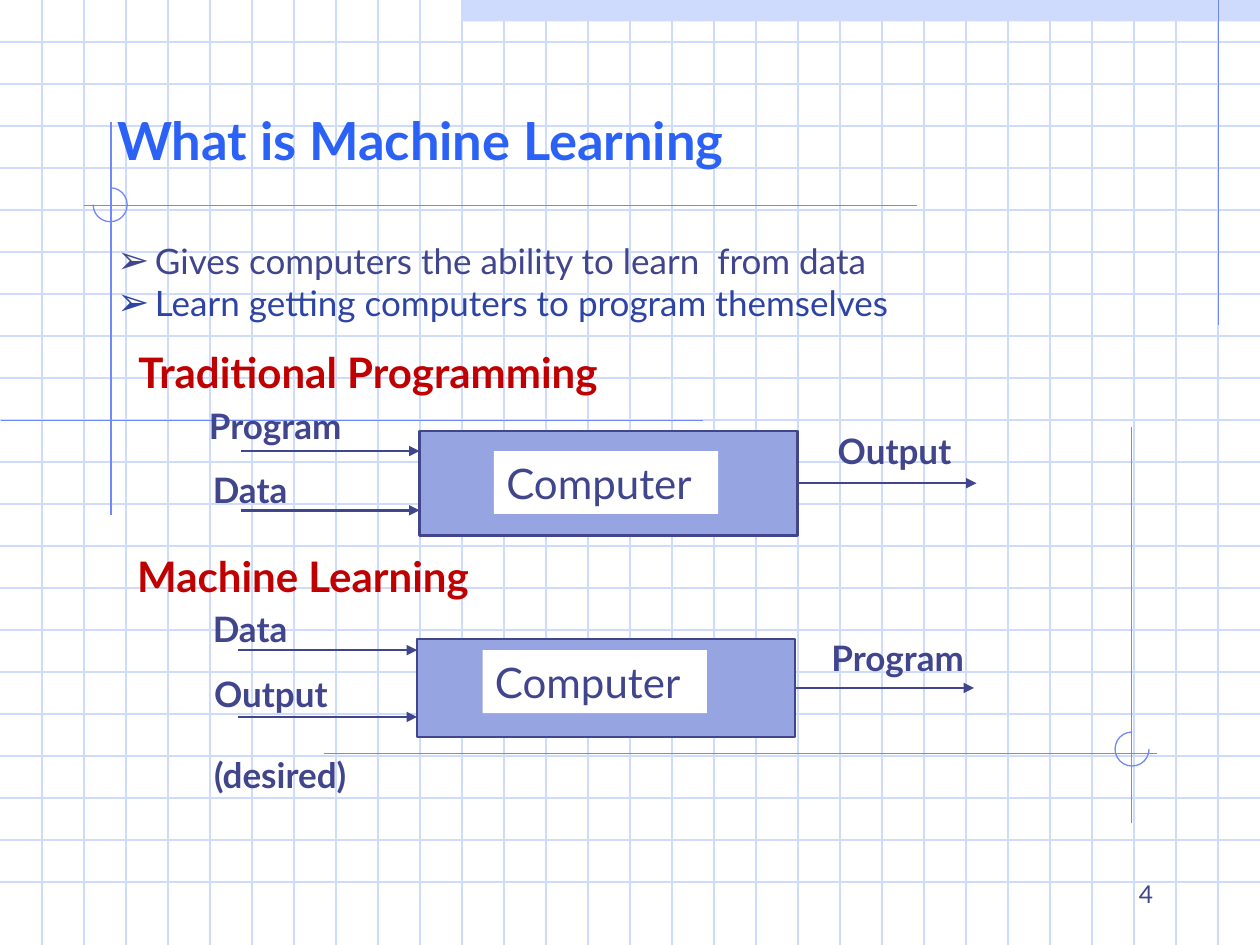
from lxml import etree
from pptx import Presentation
from pptx.dml.color import RGBColor
from pptx.enum.shapes import MSO_CONNECTOR, MSO_SHAPE
from pptx.enum.text import MSO_ANCHOR, MSO_AUTO_SIZE, PP_ALIGN
from pptx.oxml.ns import qn
from pptx.util import Inches, Pt

STRAIGHT = MSO_CONNECTOR.STRAIGHT
RECTANGLE, ARC = MSO_SHAPE.RECTANGLE, MSO_SHAPE.ARC
LEFT, RIGHT, JUSTIFY = PP_ALIGN.LEFT, PP_ALIGN.RIGHT, PP_ALIGN.JUSTIFY
RIGHT_SIDE = 3

PALE = RGBColor(0xCF, 0xDB, 0xFD)
RULE = RGBColor(0x6F, 0x89, 0xF7)
TITLE_BLUE = RGBColor(0x2C, 0x61, 0xF6)
INK = RGBColor(0x40, 0x45, 0x8C)
INK_BRIGHT = RGBColor(0x2D, 0x44, 0xA4)
BOX_FILL = RGBColor(0x96, 0xA5, 0xE2)
RED = RGBColor(0xC0, 0x00, 0x00)
WHITE = RGBColor(0xFF, 0xFF, 0xFF)

FONT = "Lato"
WIDTH, HEIGHT = 10, 7.5
GRID_STEP = 1 / 3

TITLE = "What is Machine Learning"
POINTS = [
    ("Gives computers the ability to learn  from data", INK),
    ("Learn getting computers to program themselves", INK_BRIGHT),
]
PAGE_NUMBER = "4"

# Positions are (left, top); inputs are (lines, label position, arrow height)
DIAGRAMS = [
    {
        "heading": ("Traditional Programming", 1, 2.7),
        "box": (3.33, 3.42, 0.83),
        "computer": (3.92, 3.58),
        "inputs": [(["Program"], 1.56, 3.16, 3.58), (["Data"], 1.59, 3.67, 4.05)],
        "result": ("Output", 6.55, 3.36),
    },
    {
        "heading": ("Machine Learning", 0.99, 4.32),
        "box": (3.31, 5.07, 0.78),
        "computer": (3.83, 5.16),
        "inputs": [(["Data"], 1.59, 4.77, 5.16),
                   (["Output", "(desired)"], 1.6, 5.29, 5.69)],
        "result": ("Program", 6.5, 5),
    },
]
BOX_WIDTH, ARROW_LENGTH = 3, 1.42
LABEL_SIZE = (1.42, 0.44)

RULES = [
    (9.67, 0, 9.67, 2.58),
    (0.88, 0.97, 0.88, 4.09),
    (5.58, 3.34, 0.01, 3.34),
    (7.28, 1.63, 0.67, 1.63),
    (2.57, 5.98, 9.18, 5.98),
    (8.98, 3.39, 8.98, 6.53),
]
# Left, top, start and end angle (clockwise from the right)
ARCS = [(0.74, 1.49, 270, 180), (8.85, 5.81, 0, 270)]
ARC_SIZE = 0.27


def add_line(x1, y1, x2, y2, color, width=0.75, arrow=False):
    line = slide.shapes.add_connector(
        STRAIGHT, Inches(x1), Inches(y1), Inches(x2), Inches(y2))
    line.line.color.rgb = color
    line.line.width = Pt(width)
    if arrow:
        etree.SubElement(line.line._get_or_add_ln(), qn("a:tailEnd"), type="triangle")
    etree.SubElement(line.element.spPr, qn("a:effectLst"))
    return line


def add_shape(kind, left, top, width, height, fill=None, outline=None, line_width=0.75):
    shape = slide.shapes.add_shape(
        kind, Inches(left), Inches(top), Inches(width), Inches(height))
    shape.shadow.inherit = False
    if fill is None:
        shape.fill.background()
    else:
        shape.fill.solid()
        shape.fill.fore_color.rgb = fill
    if outline is None:
        shape.line.fill.background()
    else:
        shape.line.color.rgb = outline
        shape.line.width = Pt(line_width)
    return shape


def style(paragraph, size, color, bold=False, align=LEFT):
    paragraph.alignment = align
    font = paragraph.font
    font.name, font.size, font.bold = FONT, Pt(size), bold
    font.color.rgb = color


def add_text(lines, left, top, width, height, size=20, color=INK, bold=True, align=LEFT):
    box = slide.shapes.add_textbox(
        Inches(left), Inches(top), Inches(width), Inches(height))
    frame = box.text_frame
    frame.word_wrap = True
    frame.text = "\n".join(lines)
    for index, paragraph in enumerate(frame.paragraphs):
        style(paragraph, size, color, bold, align)
        if index:
            paragraph.space_before = Pt(22)
    return box


def place(placeholder, left, top, width, height):
    """Position a placeholder and bring it in front of the backdrop."""
    placeholder.left, placeholder.top = Inches(left), Inches(top)
    placeholder.width, placeholder.height = Inches(width), Inches(height)
    placeholder.element.getparent().append(placeholder.element)
    placeholder.text_frame.auto_size = MSO_AUTO_SIZE.NONE


def add_bullet(paragraph, color):
    props = paragraph._p.get_or_add_pPr()
    props.set("marL", str(Inches(0.3)))
    props.set("indent", str(-Inches(0.3)))
    bullet_color = etree.SubElement(props, qn("a:buClr"))
    etree.SubElement(bullet_color, qn("a:srgbClr"), val=str(color))
    etree.SubElement(props, qn("a:buSzPct"), val="110000")
    etree.SubElement(props, qn("a:buChar"), char="➢")


def draw_backdrop():
    add_shape(RECTANGLE, 3.67, 0, 6.33, 0.17, fill=PALE)
    for row in range(1, round(HEIGHT / GRID_STEP)):
        add_line(0, row * GRID_STEP, WIDTH, row * GRID_STEP, PALE)
    for column in range(1, round(WIDTH / GRID_STEP)):
        add_line(column * GRID_STEP, 0, column * GRID_STEP, HEIGHT, PALE)
    for ends in RULES:
        add_line(*ends, RULE)
    for left, top, start, end in ARCS:
        arc = add_shape(ARC, left, top, ARC_SIZE, ARC_SIZE, outline=RULE)
        # Angles are stored in 60000ths of a degree, adjustments in 100000ths
        arc.adjustments[0], arc.adjustments[1] = start * 0.6, end * 0.6


def draw_diagram(diagram):
    left, top, height = diagram["box"]
    right, middle = left + BOX_WIDTH, top + height / 2
    box = add_shape(RECTANGLE, left, top, BOX_WIDTH, height, BOX_FILL, INK, 1.5)
    out = add_line(right, middle, right + ARROW_LENGTH, middle, INK, 1.5, arrow=True)
    out.begin_connect(box, RIGHT_SIDE)

    computer = add_text(["Computer"], *diagram["computer"], 1.78, 0.5, 24, bold=False)
    computer.fill.solid()
    computer.fill.fore_color.rgb = WHITE

    for lines, label_left, label_top, arrow_y in diagram["inputs"]:
        add_line(left - ARROW_LENGTH, arrow_y, left, arrow_y, INK, 1.5, arrow=True)
        label_height = LABEL_SIZE[1] if len(lines) == 1 else 1.07
        add_text(lines, label_left, label_top, LABEL_SIZE[0], label_height)

    result, *position = diagram["result"]
    add_text([result], *position, *LABEL_SIZE)
    heading, *position = diagram["heading"]
    add_text([heading], *position, 4.63, 0.5, 24, RED)


prs = Presentation()
prs.slide_width, prs.slide_height = Inches(WIDTH), Inches(HEIGHT)
slide = prs.slides.add_slide(prs.slide_layouts[1])
slide.background.fill.solid()
slide.background.fill.fore_color.rgb = WHITE

draw_backdrop()
add_text([PAGE_NUMBER], 7.17, 6.93, 2.08, 0.4, 14, bold=False, align=RIGHT)

title, points = slide.placeholders
place(title, 0.83, 0.33, 8.5, 1.08)
title.text_frame.text = TITLE
title.text_frame.vertical_anchor = MSO_ANCHOR.BOTTOM
heading = title.text_frame.paragraphs[0]
style(heading, 30, TITLE_BLUE, bold=True)
heading.line_spacing = Pt(32.4)

place(points, 0.83, 1.85, 8.25, 0.77)
points.text_frame.text = "\n".join(text for text, _ in POINTS)
for paragraph, (_, color) in zip(points.text_frame.paragraphs, POINTS):
    style(paragraph, 20, color, align=JUSTIFY)
    paragraph.space_before = Pt(0)
    add_bullet(paragraph, color)

for diagram in DIAGRAMS:
    draw_diagram(diagram)

prs.save("out.pptx")
